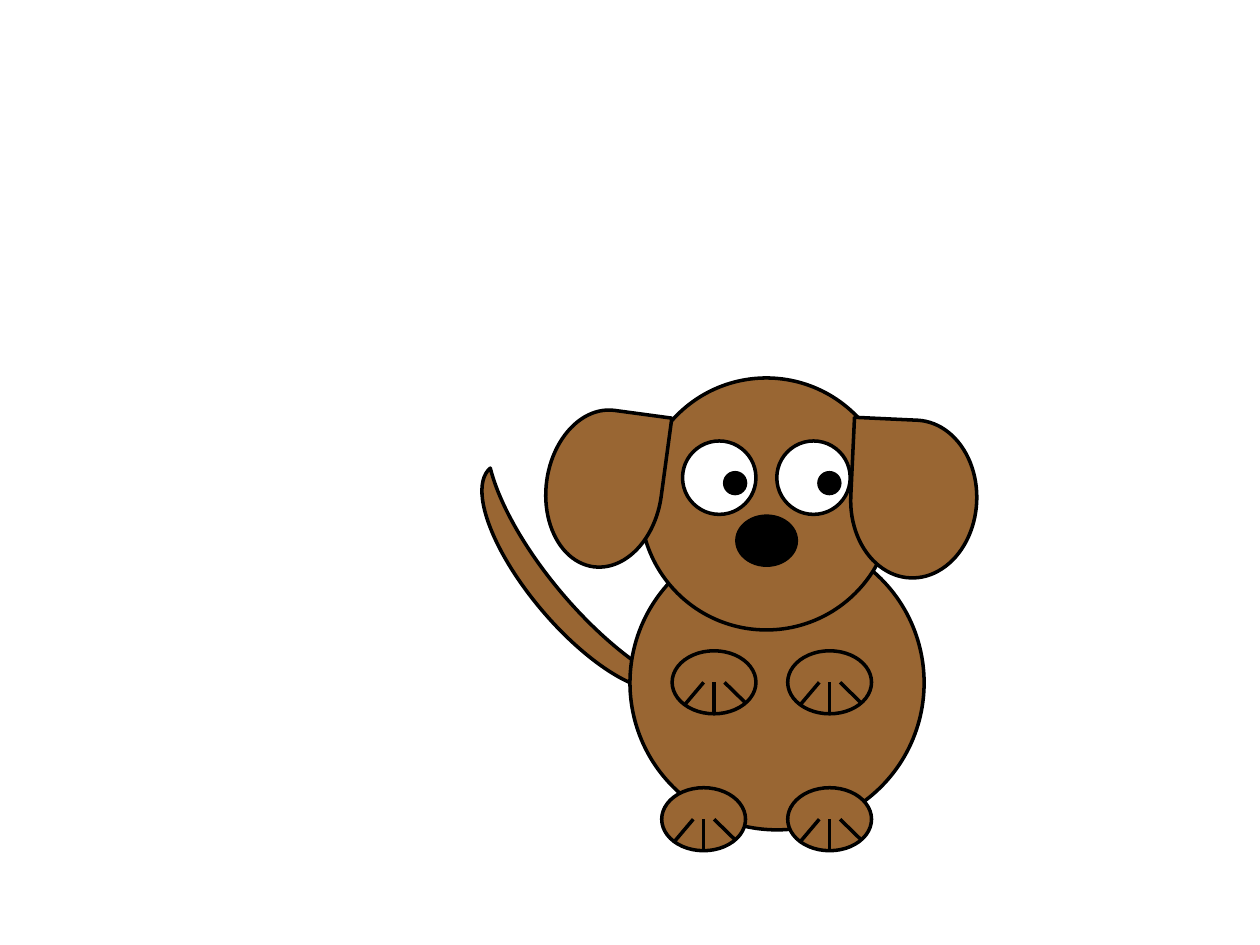
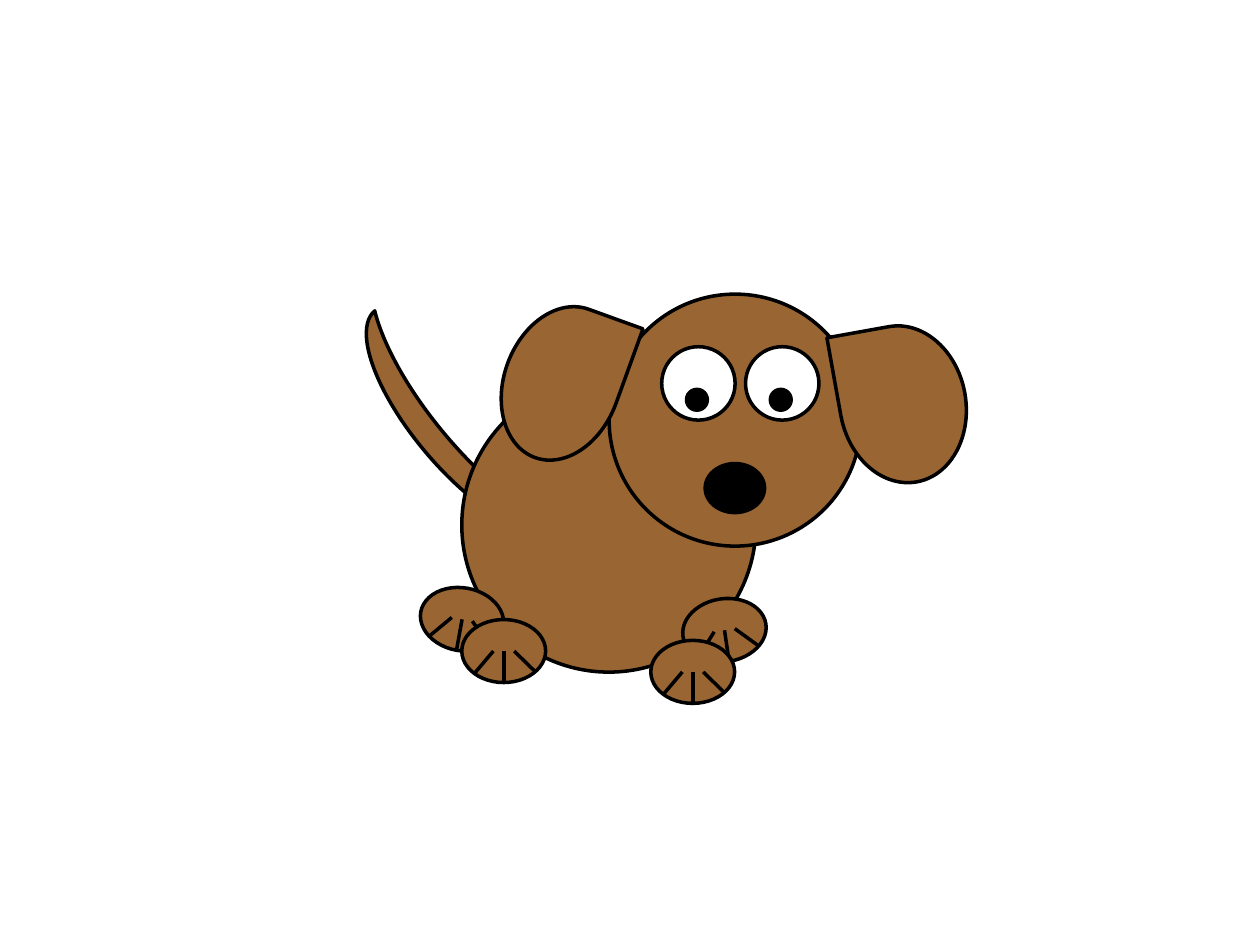
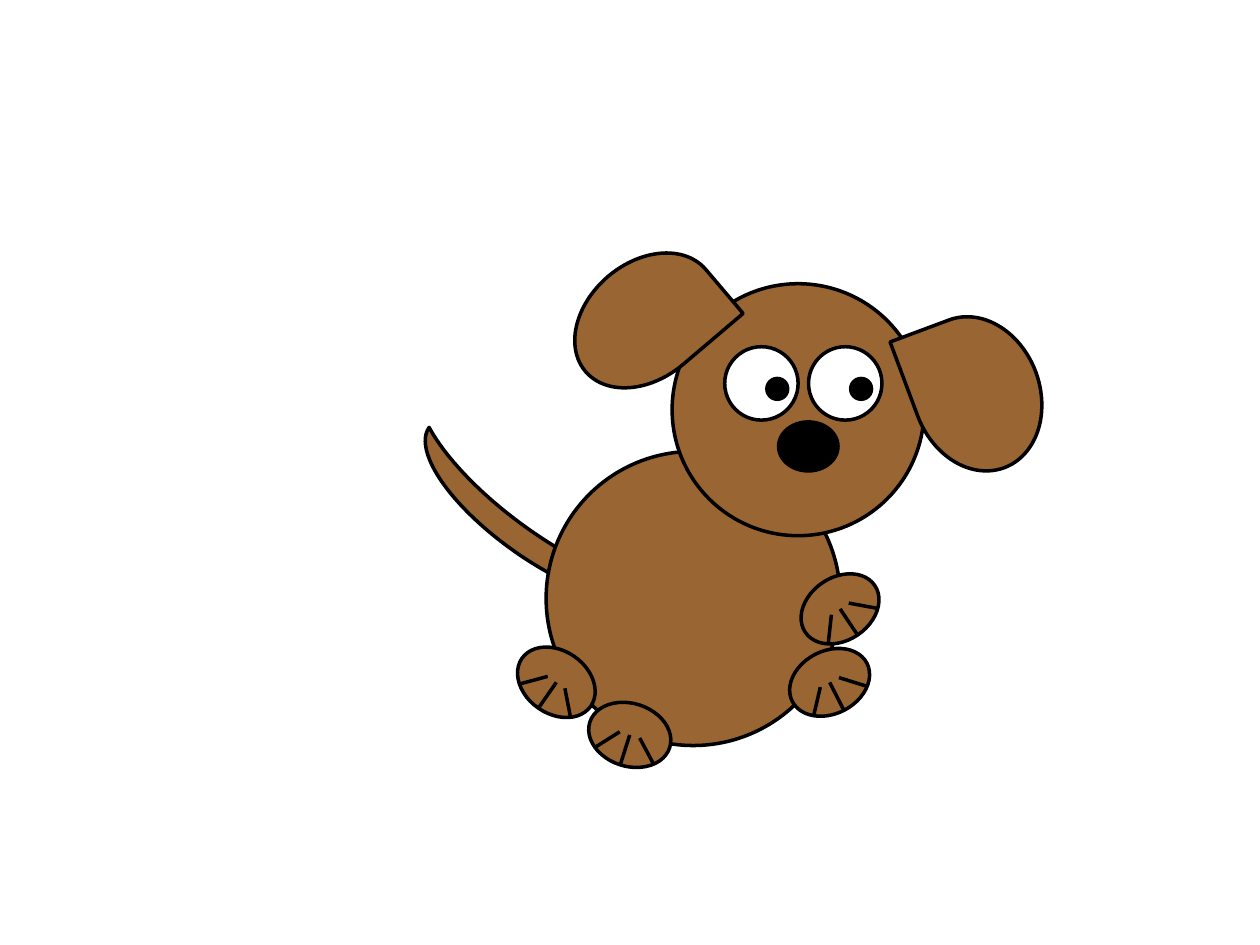
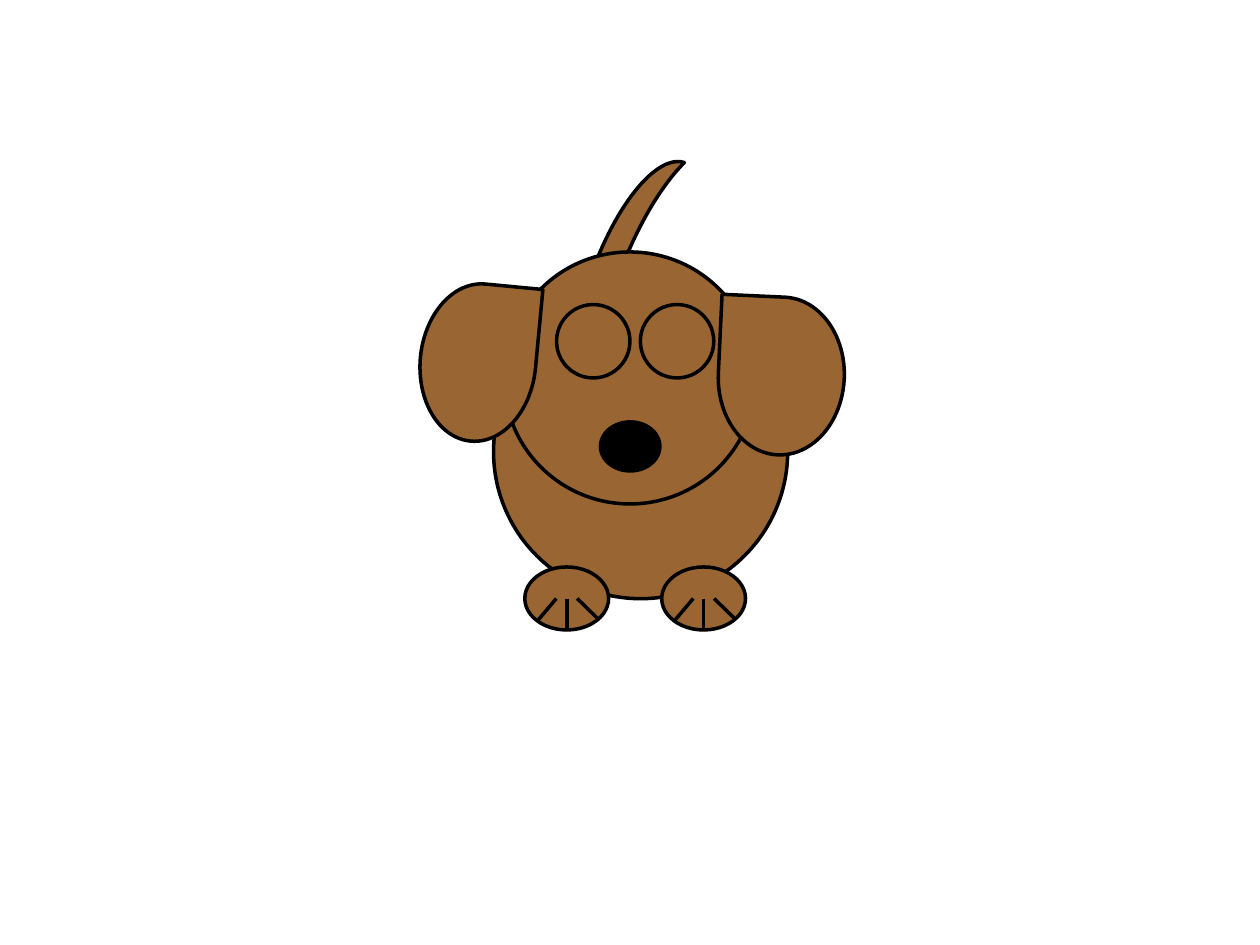
import math

from lxml import etree
from pptx import Presentation
from pptx.dml.color import RGBColor
from pptx.enum import shapes
from pptx.oxml import ns
from pptx.util import Cm, Pt

BROWN = RGBColor(0x99, 0x66, 0x33)
WHITE = RGBColor(0xFF, 0xFF, 0xFF)
BLACK = RGBColor(0x00, 0x00, 0x00)
OUTLINE = Pt(2)
FORM = shapes.MSO_SHAPE

# Sizes of the body parts, in centimetres
TAIL = (1.06, 5.72)
BODY = (5.93, 5.93)
HEAD = (5.08, 5.08)
EYE = (1.48, 1.48)
PUPIL = (0.42, 0.42)
NOSE = (1.27, 1.06)
LEFT_EAR = (2.33, 3.18)
RIGHT_EAR = (2.54, 3.18)
PAW = (1.69, 1.27)

# Toe lines, from and to, measured from the middle of an upright paw
TOES = [((-0.21, 0), (-0.59, 0.45)), ((0, 0), (0, 0.64)), ((0.21, 0), (0.64, 0.42))]

# Each pose: corners in centimetres, turns in degrees; gaze is the pupil's
# place inside the eye, and None means closed eyes
POSES = [
    dict(whole=True, tail=(10.8, 9.1, 319.7), body=(12.7, 10.8), head=(12.91, 7.62),
         eyes=[(13.76, 8.89), (15.66, 8.89)], gaze=(0.85, 0.64), nose=(14.82, 10.37),
         left_ear=(11.01, 8.26, 7.7), right_ear=(17.15, 8.47, 2.7),
         paws=[(15.88, 13.12, 0), (13.34, 15.88, 0), (13.55, 13.12, 0), (15.88, 15.88, 0)]),
    dict(whole=True, tail=(8.47, 5.93, 319.7), body=(9.31, 7.62), head=(12.28, 5.93),
         eyes=[(13.34, 6.99), (15.03, 6.99)], gaze=(0.5, 0.86), nose=(14.18, 9.31),
         left_ear=(10.16, 6.14, 19.9), right_ear=(16.93, 6.56, 349.8),
         paws=[(13.76, 12.07, 351.5), (8.47, 11.85, 10.2), (13.12, 12.91, 0), (9.31, 12.49, 0)]),
    dict(whole=False, tail=(10.16, 7.83, 305), body=(11.01, 9.1), head=(13.55, 5.72),
         eyes=[(14.61, 6.99), (16.3, 6.99)], gaze=(0.85, 0.64), nose=(15.66, 8.47),
         left_ear=(11.85, 4.87, 49.7), right_ear=(18.42, 6.35, 339.5),
         paws=[(15.88, 13.12, 333), (16.09, 11.64, 326.1), (10.37, 13.12, 34.7),
               (11.85, 14.18, 17.6)]),
    dict(whole=False, tail=(11.85, 2.96, 18.6), body=(9.95, 6.14), head=(10.16, 5.08),
         eyes=[(11.22, 6.14), (12.91, 6.14)], gaze=None, nose=(12.07, 8.47),
         left_ear=(8.47, 5.72, 5.4), right_ear=(14.48, 5.99, 2.7),
         paws=[(10.58, 11.43, 0), (13.34, 11.43, 0)]),
]


def add_part(parent, place, size, form=FORM.OVAL, fill=BROWN, outlined=True, flipped=False):
    """Add one body part; place is left, top and, if turned, the angle."""
    left, top, *turn = place
    part = parent.add_shape(form, Cm(left), Cm(top), Cm(size[0]), Cm(size[1]))
    part.rotation = turn[0] if turn else 0
    part.shadow.inherit = False
    part.fill.solid()
    part.fill.fore_color.rgb = fill
    if outlined:
        part.line.color.rgb = BLACK
        part.line.width = OUTLINE
    else:
        part.line.fill.background()
    if flipped:
        part.element.spPr.xfrm.set("flipH", "1")


def add_paw(parent, place):
    """Add a paw with its toe lines turned along with it."""
    left, top, turn = place
    add_part(parent, place, PAW)
    middle_x, middle_y = left + PAW[0] / 2, top + PAW[1] / 2
    cos, sin = math.cos(math.radians(turn)), math.sin(math.radians(turn))
    for toe in TOES:
        ends = []
        for x, y in toe:
            ends += [Cm(middle_x + x * cos - y * sin), Cm(middle_y + x * sin + y * cos)]
        line = parent.add_connector(shapes.MSO_CONNECTOR.STRAIGHT, *ends)
        line.line.color.rgb = BLACK
        line.line.width = OUTLINE
        etree.SubElement(line.element.spPr, ns.qn("a:effectLst"))


deck = Presentation()
deck.slide_width, deck.slide_height = Cm(25.4), Cm(19.05)

for pose in POSES:
    page = deck.slides.add_slide(deck.slide_layouts[6])
    whole, gaze = pose["whole"], pose["gaze"]
    dog = page.shapes.add_group_shape().shapes if whole else page.shapes

    # Tail, body and head
    add_part(dog, pose["tail"], TAIL, form=FORM.MOON)
    add_part(dog, pose["body"], BODY)
    add_part(dog, pose["head"], HEAD)

    # Eyes
    for left, top in pose["eyes"]:
        if gaze is None:
            add_part(dog, (left, top), EYE)
            continue
        eye = dog if whole else dog.add_group_shape().shapes
        add_part(eye, (left, top), EYE, fill=WHITE)
        add_part(eye, (left + gaze[0], top + gaze[1]), PUPIL, fill=BLACK)

    # Nose and ears
    add_part(dog, pose["nose"], NOSE, fill=BLACK, outlined=False)
    add_part(dog, pose["left_ear"], LEFT_EAR, form=FORM.TEAR)
    add_part(dog, pose["right_ear"], RIGHT_EAR, form=FORM.TEAR, flipped=True)

    # Paws
    for place in pose["paws"]:
        add_paw(dog if whole else dog.add_group_shape().shapes, place)

deck.save("out.pptx")
